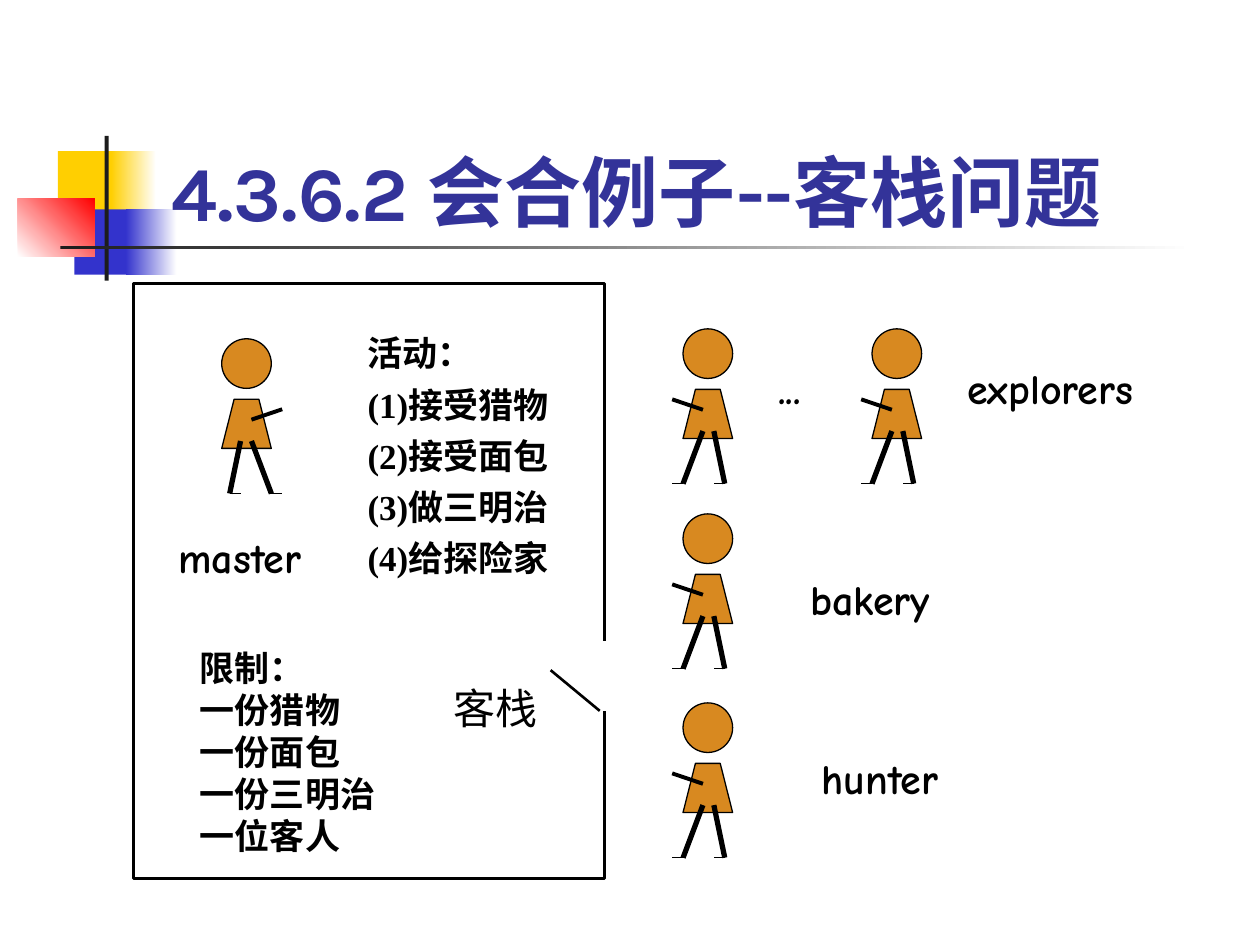
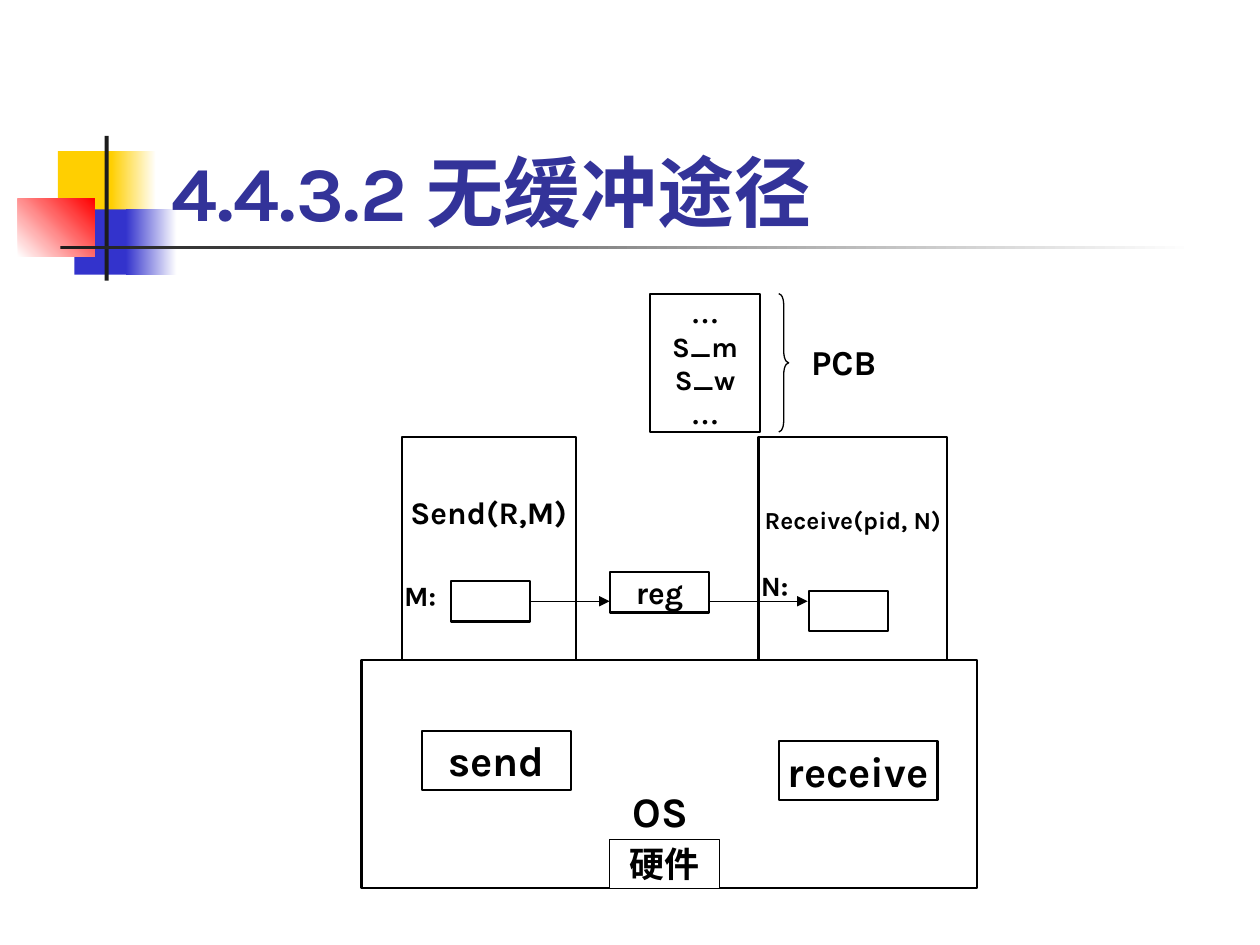
"""Build two slides: the inn rendezvous example and the unbuffered message path."""
from dataclasses import dataclass
from typing import Optional

from lxml import etree
from pptx import Presentation
from pptx import util as u
from pptx.dml.color import RGBColor
from pptx.enum import shapes as es, text as et
from pptx.oxml.ns import qn

COLORS = {
    "ink": "000000", "paper": "FFFFFF", "title": "333399", "skin": "D88920",
    "yellow": "FFCF01", "blue": "3333CC", "red": "FF0000", "rule": "1C1C1C",
}
KARLA, COMIC, TIMES = "Karla", "Comic Neue", "Times New Roman"
RECT = es.MSO_SHAPE.RECTANGLE


@dataclass
class Band:
    """A decorative block in cm, faded towards a second colour if one is given."""
    left: float
    top: float
    width: float
    height: float
    color: str
    fade_to: Optional[str] = None
    angle: int = 0


@dataclass
class Label:
    """A text box in cm with one paragraph per line."""
    left: float
    top: float
    width: float
    height: float
    lines: tuple[str, ...]
    size: int = 24
    font: str = KARLA
    bold: bool = True
    line_spacing: float = 1.0
    gap: int = 0


@dataclass
class Box:
    """An outlined rectangle in cm with optional centred text."""
    left: float
    top: float
    width: float
    height: float
    lines: tuple[str, ...] = ()
    size: int = 18
    bottom_inset: float = 0.13
    border: float = 1.25
    border_color: str = "ink"


@dataclass
class Stroke:
    """A straight line between two points in cm."""
    x1: float
    y1: float
    x2: float
    y2: float
    width: float = 0.75


BANDS = [
    Band(1.17, 3.05, 1.22, 1.32, "yellow"),
    Band(2.24, 3.05, 0.91, 1.32, "yellow", "paper"),
    Band(1.5, 4.22, 1.17, 1.32, "blue"),
    Band(2.54, 4.22, 1.02, 1.32, "blue", "paper"),
    Band(0.36, 4.01, 1.55, 1.17, "paper", "red", 45),
    Band(2.11, 2.74, 0.08, 2.92, "rule"),
    Band(1.22, 4.95, 22.86, 0.08, "rule", "paper"),
]

HEAD = 1.0
TORSO = [(0, 2.21), (0.25, 1.22), (0.75, 1.22), (1, 2.21)]
LIMBS = [
    Stroke(0.38, 2.06, 0.16, 3.12, 3),
    Stroke(0.6, 2.06, 1.0, 3.12, 3),
    Stroke(0.16, 3.12, 0.38, 3.12),
    Stroke(1.0, 3.12, 1.22, 3.12),
    Stroke(0.6, 1.63, 1.22, 1.42, 2.25),
]


def rgb(name: str) -> RGBColor:
    """Return the named colour."""
    return RGBColor.from_string(COLORS[name])


def paint(shape, fill: str, border: str = "ink", width: float = 0.75) -> None:
    """Give a shape a plain fill and outline without shadow."""
    shape.shadow.inherit = False
    shape.fill.solid()
    shape.fill.fore_color.rgb = rgb(fill)
    shape.line.color.rgb = rgb(border)
    shape.line.width = u.Pt(width)


def style(paragraph, font: str, size: int, bold: bool = True, color: str = "ink") -> None:
    """Set the font of a whole paragraph."""
    paragraph.font.name = font
    paragraph.font.size = u.Pt(size)
    paragraph.font.bold = bold
    paragraph.font.color.rgb = rgb(color)


def place(item) -> tuple:
    """Return left, top, width and height of a described element."""
    return tuple(u.Cm(v) for v in (item.left, item.top, item.width, item.height))


def draw_band(shapes, band: Band):
    """Draw one decorative block."""
    block = shapes.add_shape(RECT, *place(band))
    block.shadow.inherit = False
    block.line.fill.background()
    if band.fade_to:
        block.fill.gradient()
        block.fill.gradient_angle = band.angle
        for stop, color in zip(block.fill.gradient_stops, (band.color, band.fade_to)):
            stop.color.rgb = rgb(color)
    else:
        block.fill.solid()
        block.fill.fore_color.rgb = rgb(band.color)
    return block


def draw_label(shapes, label: Label) -> None:
    """Draw a text box."""
    frame = shapes.add_textbox(*place(label)).text_frame
    frame.word_wrap = True
    frame.text = "\n".join(label.lines)
    for index, paragraph in enumerate(frame.paragraphs):
        style(paragraph, label.font, label.size, label.bold)
        paragraph.line_spacing = label.line_spacing
        if index and label.gap:
            paragraph.space_before = u.Pt(label.gap)


def draw_box(shapes, box: Box):
    """Draw a rectangle with centred text."""
    rectangle = shapes.add_shape(RECT, *place(box))
    paint(rectangle, "paper", box.border_color, box.border)
    if box.lines:
        frame = rectangle.text_frame
        frame.word_wrap = False
        frame.vertical_anchor = et.MSO_ANCHOR.MIDDLE
        frame.margin_bottom = u.Cm(box.bottom_inset)
        frame.text = "\n".join(box.lines)
        for paragraph in frame.paragraphs:
            paragraph.alignment = et.PP_ALIGN.CENTER
            style(paragraph, KARLA, box.size)
    return rectangle


def draw_stroke(shapes, stroke: Stroke, arrow: bool = False):
    """Draw a straight line, with an arrowhead at its end if asked."""
    ends = (u.Cm(v) for v in (stroke.x1, stroke.y1, stroke.x2, stroke.y2))
    line = shapes.add_connector(es.MSO_CONNECTOR.STRAIGHT, *ends)
    line.line.color.rgb = rgb("ink")
    line.line.width = u.Pt(stroke.width)
    if arrow:
        etree.SubElement(line.line._get_or_add_ln(), qn("a:tailEnd"), type="triangle")
    etree.SubElement(line._element.spPr, qn("a:effectLst"))
    return line


def draw_person(shapes, left: float, top: float, faces_left: bool = True) -> None:
    """Draw a grouped figure whose head starts at the given point."""
    def across(x: float) -> float:
        return left + (HEAD - x if faces_left else x)

    parts = shapes.add_group_shape().shapes
    outline = [(u.Cm(across(x)), u.Cm(top + y)) for x, y in TORSO]
    builder = parts.build_freeform(*outline[0])
    builder.add_line_segments(outline[1:], close=True)
    paint(builder.convert_to_shape(), "skin")
    head = parts.add_shape(es.MSO_SHAPE.OVAL, u.Cm(left), u.Cm(top), u.Cm(HEAD), u.Cm(HEAD))
    paint(head, "skin")
    for limb in LIMBS:
        draw_stroke(parts, Stroke(across(limb.x1), top + limb.y1,
                                  across(limb.x2), top + limb.y2, limb.width))


def add_titled_slide(deck, heading: str):
    """Add a title-only slide and format its title."""
    slide = deck.slides.add_slide(deck.slide_layouts[5])
    title = slide.shapes.title
    title.left, title.top, title.width, title.height = map(u.Cm, (3.2, 1.73, 21.64, 3.18))
    frame = title.text_frame
    frame.text = heading
    frame.auto_size = et.MSO_AUTO_SIZE.NONE
    frame.vertical_anchor = et.MSO_ANCHOR.BOTTOM
    frame.paragraphs[0].alignment = et.PP_ALIGN.LEFT
    style(frame.paragraphs[0], KARLA, 44, color="title")
    return slide


def build_inn(deck):
    """Build the slide on the inn problem."""
    slide = add_titled_slide(deck, "4.3.6.2 会合例子--客栈问题")
    shapes = slide.shapes
    draw_box(shapes, Box(2.69, 5.72, 9.5, 11.99, border=1.5))
    draw_person(shapes, 4.47, 6.83, faces_left=False)
    for left, top in ((13.77, 6.63), (17.58, 6.63), (13.77, 10.36), (13.77, 14.17)):
        draw_person(shapes, left, top)
    draw_box(shapes, Box(11.51, 12.93, 0.99, 1.4, border=0.75, border_color="paper"))
    draw_stroke(shapes, Stroke(11.1, 13.51, 12.09, 14.33, 1.5))
    activities = ("活动：", "(1)接受猎物", "(2)接受面包", "(3)做三明治", "(4)给探险家")
    limits = ("限制：", "一份猎物", "一份面包", "一份三明治", "一位客人")
    for label in (
        Label(15.44, 7.19, 1.7, 1.27, ("...",), font=COMIC),
        Label(19.25, 7.19, 4.45, 1.27, ("explorers",), font=COMIC),
        Label(16.08, 11.43, 3.81, 1.27, ("bakery",), font=COMIC),
        Label(16.31, 15.04, 3.81, 1.27, ("hunter",), font=COMIC),
        Label(3.35, 10.59, 3.38, 1.27, ("master",), font=COMIC),
        Label(7.16, 6.73, 4.65, 5.33, activities, 20, TIMES, line_spacing=0.8, gap=10),
        Label(3.78, 12.9, 6.35, 4.5, limits, 20, TIMES),
        Label(8.89, 13.64, 2.21, 2.29, ("客栈",), bold=False),
    ):
        draw_label(shapes, label)
    return slide


def build_unbuffered_path(deck) -> None:
    """Build the slide on message passing without a buffer."""
    shapes = add_titled_slide(deck, "4.4.3.2 无缓冲途径").shapes
    for box in (
        Box(7.29, 13.31, 12.4, 4.6),
        Box(8.1, 8.81, 3.51, 4.5, ("Send(R,M)",), 18, 1.61),
        Box(15.29, 8.81, 3.81, 4.5, ("Receive(pid, N)",), 14, 1.29),
        Box(16.31, 11.91, 1.6, 0.82),
        Box(12.29, 11.53, 2.01, 0.82, ("reg",)),
        Box(8.51, 14.73, 3, 1.19, ("send",), 24),
        Box(15.7, 14.94, 3.2, 1.19, ("receive",), 24),
        Box(12.29, 16.92, 2.21, 0.99, ("硬件",), 20, border=0.75),
    ):
        draw_box(shapes, box)
    message = draw_box(shapes, Box(9.09, 11.71, 1.6, 0.82))
    to_register = draw_stroke(shapes, Stroke(10.69, 12.12, 12.29, 12.12), arrow=True)
    to_register.begin_connect(message, 3)
    draw_stroke(shapes, Stroke(14.3, 12.12, 16.28, 12.12), arrow=True)

    control_block = draw_box(shapes, Box(13.11, 5.92, 2.21, 2.79, ("…", "S_m", "S_w", "…"), 16))
    entries = control_block.text_frame.paragraphs
    for ellipsis in (entries[0], entries[-1]):
        ellipsis.font.name = TIMES
    brace = shapes.add_shape(es.MSO_SHAPE.RIGHT_BRACE,
                             *map(u.Cm, (15.7, 5.92, 0.2, 2.79)))
    brace.adjustments[0] = 1.15
    paint(brace, "paper")
    brace.fill.background()
    for label in (
        Label(7.9, 11.53, 1.19, 0.94, ("M:",), 16),
        Label(15.09, 11.33, 1.19, 0.94, ("N:",), 16),
        Label(16.1, 6.73, 2.21, 1.09, ("PCB",), 20),
        Label(12.5, 15.72, 2.21, 1.27, ("OS",)),
    ):
        draw_label(shapes, label)


def main() -> None:
    """Build and save the deck."""
    deck = Presentation()
    deck.slide_width, deck.slide_height = u.Cm(25.4), u.Cm(19.05)
    inn = build_inn(deck)
    build_unbuffered_path(deck)
    layout_tree = inn.slide_layout.shapes.element
    for band in BANDS:
        layout_tree.append(draw_band(inn.shapes, band)._element)
    deck.save("out.pptx")


if __name__ == "__main__":
    main()
